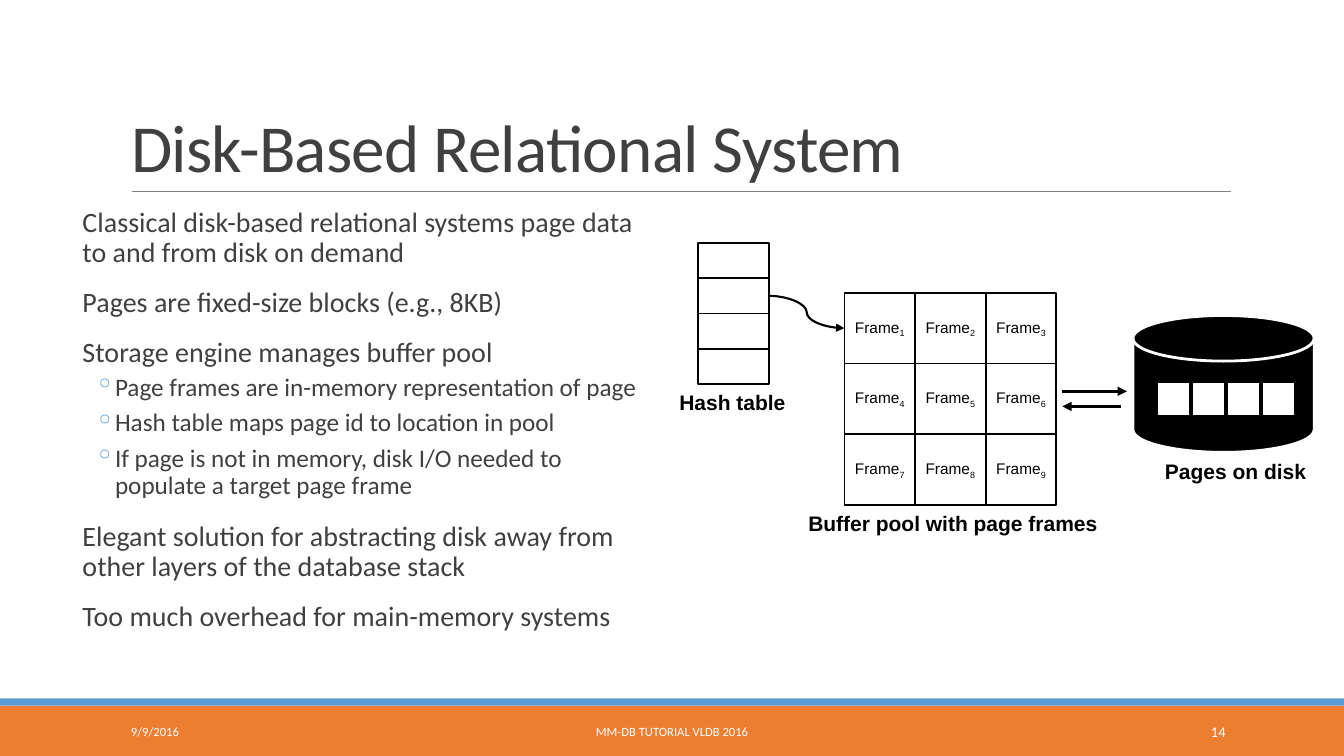
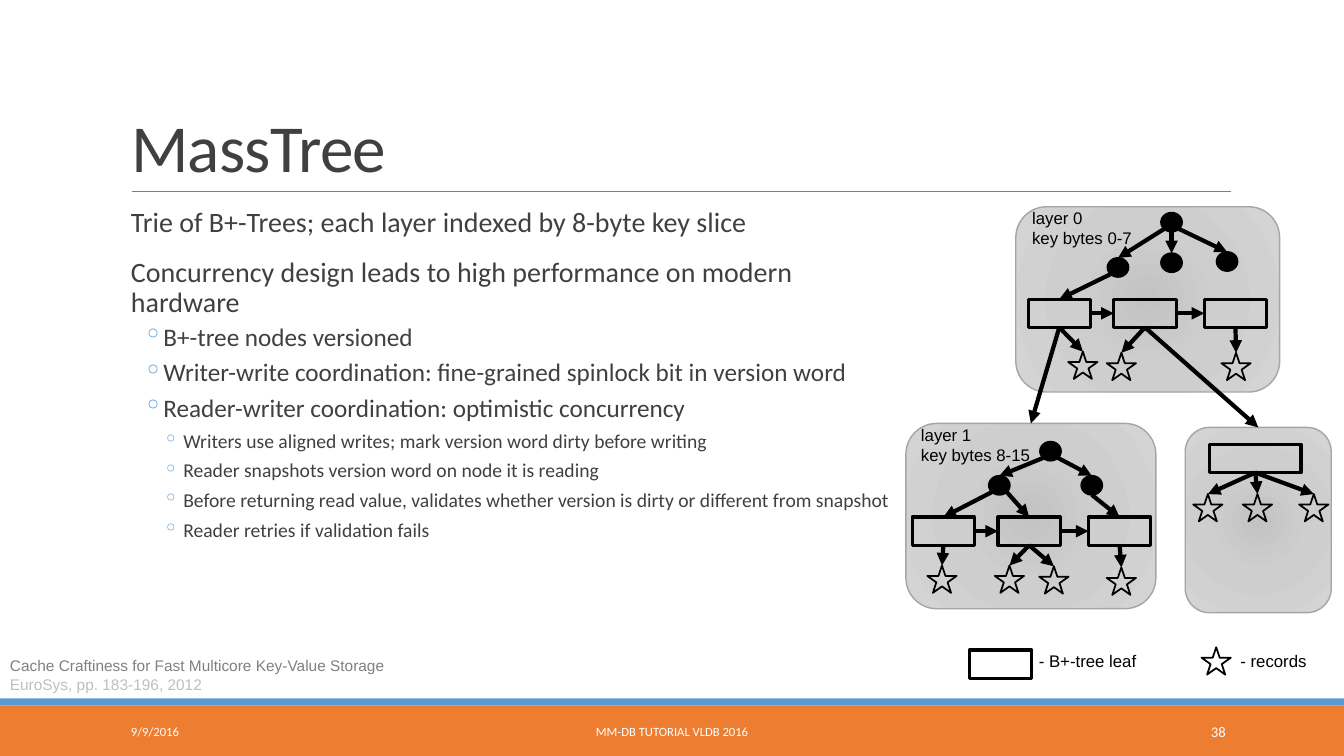
"""Build two slides on disk-based and main-memory storage engines."""
from math import cos, radians, sin

from lxml import etree
from pptx import Presentation
from pptx import util as u
from pptx.dml.color import RGBColor
from pptx.enum import shapes, text
from pptx.oxml import parse_xml
from pptx.oxml.ns import nsdecls, qn

BLACK, WHITE, INK, GREY = "000000", "FFFFFF", "404040", "808080"
ORANGE, BLUE, PANEL_EDGE, PALE = "ED7D31", "5B9BD5", "A5A5A5", "BFBFBF"
SHAPE, LINK = shapes.MSO_SHAPE, shapes.MSO_CONNECTOR
ALIGN, ANCHOR = text.PP_ALIGN, text.MSO_ANCHOR
SLIDE_SIZE = (33.87, 19.05)
LEAF_SIZE, STAR_SIZE, NODE_SIZE = (1.57, 0.71), (0.74, 0.69), (0.53, 0.48)
LABEL = {"size": u.Pt(15), "name": "Arial", "bold": True, "color": BLACK}
NOTE = {"size": u.Pt(12), "name": "Arial", "color": BLACK}
BODY_LEVELS = [
    {"size": 20, "margin": 0.25, "hang": 0, "before": 12, "after": 2},
    {"size": 18, "margin": 1.07, "hang": 0.51, "before": 2, "after": 4},
    {"size": 14, "margin": 1.57, "hang": 0.51, "before": 2, "after": 4},
]


def rgb(value):
    """Turn a hex string into a colour."""
    return RGBColor.from_string(value)


def assign(target, values):
    """Set every attribute named in values on the target."""
    for name, value in values.items():
        setattr(target, name, value)


def set_font(font, values):
    """Apply font attributes, with the colour as a hex string."""
    assign(font, {name: value for name, value in values.items() if name != "color"})
    font.color.rgb = rgb(values["color"])


def add_block(slide, kind, box, fill=None, line=None, width=1.25):
    """Add a preset shape with plain fill and line."""
    block = slide.shapes.add_shape(kind, *map(u.Cm, box))
    block.shadow.inherit = False
    if fill:
        block.fill.solid()
        block.fill.fore_color.rgb = rgb(fill)
    else:
        block.fill.background()
    if line:
        block.line.color.rgb = rgb(line)
        block.line.width = u.Pt(width)
    else:
        block.line.fill.background()
    return block


def add_text(slide, box, lines, font, align=ALIGN.LEFT, anchor=ANCHOR.TOP):
    """Add a wrapped text box with one paragraph per line."""
    frame = slide.shapes.add_textbox(*map(u.Cm, box)).text_frame
    assign(frame, {"word_wrap": True, "vertical_anchor": anchor, "text": "\n".join(lines)})
    for paragraph in frame.paragraphs:
        paragraph.alignment = align
        set_font(paragraph.font, font)
    return frame


def add_line(slide, start, end, color=BLACK, width=3, kind=LINK.STRAIGHT, arrow=True):
    """Draw a connector between points or (shape, side) joints."""
    joined = [hasattr(place[0], "left") for place in (start, end)]
    points = [(0, 0) if joint else place for joint, place in zip(joined, (start, end))]
    line = slide.shapes.add_connector(kind, *points[0], *points[1])
    for joint, place, connect in zip(joined, (start, end), (line.begin_connect, line.end_connect)):
        if joint:
            connect(*place)
    line.line.color.rgb = rgb(color)
    line.line.width = u.Pt(width)
    properties = line._element.spPr
    if arrow:
        etree.SubElement(properties.find(qn("a:ln")), qn("a:tailEnd"), type="triangle")
    etree.SubElement(properties, qn("a:effectLst"))


def point(x, y):
    """Give a point in centimetres."""
    return u.Cm(x), u.Cm(y)


def rim(node, angle):
    """Find the point on a node's edge, clockwise from its right."""
    turn = radians(angle)
    return (int(node.left + node.width / 2 * (1 + cos(turn))),
            int(node.top + node.height / 2 * (1 + sin(turn))))


def add_base(deck, title, number):
    """Start a slide with its title, rule, bands and footers."""
    slide = deck.slides.add_slide(deck.slide_layouts[5])
    add_block(slide, SHAPE.RECTANGLE, (0, 17.78, SLIDE_SIZE[0], 1.27), ORANGE)
    add_block(slide, SHAPE.RECTANGLE, (0, 17.6, SLIDE_SIZE[0], 0.18), BLUE)
    add_line(slide, point(3.33, 4.83), point(31.01, 4.83), GREY, 0.5, arrow=False)
    heading = slide.shapes.title
    assign(heading, dict(zip(("left", "top", "width", "height"),
                             map(u.Cm, (3.05, 0.79, 27.94, 4.04)))))
    assign(heading.text_frame, {"text": title, "vertical_anchor": ANCHOR.BOTTOM,
                                "auto_size": text.MSO_AUTO_SIZE.NONE, "word_wrap": True})
    paragraph = heading.text_frame.paragraphs[0]
    assign(paragraph, {"alignment": ALIGN.LEFT, "line_spacing": 0.85})
    run = paragraph.runs[0]
    set_font(run.font, {"size": u.Pt(48), "name": "Calibri", "color": INK})
    run._r.get_or_add_rPr().set("spc", "-50")
    footers = [(3.05, 6.86, "9/9/2016", 9, ALIGN.LEFT),
               (10.24, 13.39, "MM-DB TUTORIAL VLDB 2016", 9, ALIGN.CENTER),
               (27.51, 3.63, number, 10.5, ALIGN.RIGHT)]
    for left, width, words, size, align in footers:
        add_text(slide, (left, 17.93, width, 1.02), [words],
                 {"size": u.Pt(size), "name": "Calibri", "color": WHITE}, align, ANCHOR.MIDDLE)
    return slide


def add_body(slide, box, items):
    """Add the outline text from (level, words) pairs."""
    frame = slide.shapes.add_textbox(*map(u.Cm, box)).text_frame
    assign(frame, {"word_wrap": True, "margin_left": 0, "margin_right": 0})
    frame.text = "\n".join(words for _, words in items)
    for index, (paragraph, (level, _)) in enumerate(zip(frame.paragraphs, items)):
        look = BODY_LEVELS[level]
        properties = paragraph._p.get_or_add_pPr()
        properties.set("marL", str(u.Cm(look["margin"])))
        properties.set("indent", str(-u.Cm(look["hang"])))
        if level:
            bullet_color = etree.SubElement(properties, qn("a:buClr"))
            etree.SubElement(bullet_color, qn("a:srgbClr"), val=BLUE)
            etree.SubElement(properties, qn("a:buChar"), char="◦")
        assign(paragraph, {"level": level, "line_spacing": 0.9,
                           "space_before": u.Pt(look["before"] if index else 0),
                           "space_after": u.Pt(look["after"])})
        set_font(paragraph.font, {"size": u.Pt(look["size"]), "name": "Calibri", "color": INK})


def add_frame(slide, box, number):
    """Add a page frame with its subscript number."""
    frame = add_block(slide, SHAPE.RECTANGLE, box, WHITE, BLACK)
    assign(frame.text_frame, {"margin_left": 0, "margin_right": 0,
                              "vertical_anchor": ANCHOR.MIDDLE})
    paragraph = frame.text_frame.paragraphs[0]
    paragraph.alignment = ALIGN.CENTER
    for words in ("Frame", str(number)):
        run = paragraph.add_run()
        run.text = words
        set_font(run.font, {"size": u.Pt(11), "name": "Arial", "color": BLACK})
    run._r.get_or_add_rPr().set("baseline", "-25000")
    return frame


def add_buffer_pool(slide):
    """Draw the hash table, the page frames and the disk."""
    side = 1.78
    slots = [add_block(slide, SHAPE.RECTANGLE, (17.6, 6.12 + row * side / 2, side, side / 2),
                       WHITE, BLACK) for row in range(4)]
    frames = [add_frame(slide, (21.28 + index % 3 * side, 7.38 + index // 3 * side, side, side),
                        index + 1) for index in range(9)]
    add_line(slide, (slots[1], 3), (frames[0], 1), width=1.5, kind=LINK.CURVE)
    add_block(slide, SHAPE.FLOWCHART_MAGNETIC_DISK, (28.55, 7.95, 4.57, 3.45), BLACK, WHITE, 2)
    for column in range(4):
        add_block(slide, SHAPE.RECTANGLE, (29.16 + column * 0.88, 9.63, 0.84, 0.86), WHITE, BLACK)
    add_line(slide, point(26.77, 9.86), point(28.4, 9.86), width=2.25)
    add_line(slide, point(28.24, 10.24), point(26.77, 10.24), width=2.25)
    for left, top, width, words in [(29.11, 11.43, 4.42, "Pages on disk"),
                                    (20.12, 12.73, 7.92, "Buffer pool with page frames"),
                                    (16.87, 9.68, 3.28, "Hash table")]:
        add_text(slide, (left, top, width, 0.89), [words], LABEL)


def add_panel(slide, box):
    """Add a rounded layer background with a radial gradient."""
    panel = add_block(slide, SHAPE.ROUNDED_RECTANGLE, box, None, PANEL_EDGE, 1)
    stops = "".join(f'<a:gs pos="{place}"><a:srgbClr val="{color}"/></a:gs>' for place, color in
                    [(0, "C3C3C3"), (45000, "CECECE"), (100000, "D4D4D4")])
    edges = " ".join(f'{edge}="100000"' for edge in "ltrb")
    gradient = parse_xml(f'<a:gradFill {nsdecls("a")}><a:gsLst>{stops}</a:gsLst>'
                         f'<a:path path="circle"><a:fillToRect {edges}/></a:path></a:gradFill>')
    properties = panel._element.spPr
    properties.replace(properties.find(qn("a:noFill")), gradient)
    return panel


def add_leaf(slide, left, top, width=LEAF_SIZE[0]):
    """Add a B+-tree leaf."""
    return add_block(slide, SHAPE.RECTANGLE, (left, top, width, LEAF_SIZE[1]), None, BLACK, 2.25)


def add_star(slide, left, top):
    """Add a record star."""
    return add_block(slide, SHAPE.STAR_5_POINT, (left, top, *STAR_SIZE), None, BLACK)


def add_records(slide, leaf, places):
    """Hang record stars below a leaf."""
    for place in places:
        add_line(slide, (leaf, 2), (add_star(slide, *place), 0))


def add_tree(slide, node_places, branches, twigs, leaf_left, leaf_top, records):
    """Draw a B+-tree of inner nodes, chained leaves and records."""
    nodes = [add_block(slide, SHAPE.OVAL, (*place, *NODE_SIZE), BLACK, BLACK)
             for place in node_places]
    leaves = [add_leaf(slide, leaf_left + shift, leaf_top) for shift in (0, 2.16, 4.44)]
    for children, links in ((nodes, branches), (leaves, twigs)):
        for parent, angle, child in links:
            add_line(slide, rim(nodes[parent], angle), (children[child], 0))
    for leaf, following in zip(leaves, leaves[1:]):
        add_line(slide, (leaf, 3), (following, 1))
    for leaf, places in zip(leaves, records):
        add_records(slide, leaf, places)
    return leaves


def add_trie(slide):
    """Draw the trie layers with their links and legend."""
    add_panel(slide, (25.6, 5.21, 6.65, 4.67))
    left_panel = add_panel(slide, (22.83, 10.67, 6.3, 4.67))
    right_panel = add_panel(slide, (29.87, 10.77, 3.68, 4.67))
    upper_leaves = add_tree(
        slide, [(29.26, 5.36), (27.91, 6.5), (29.26, 6.38), (30.66, 6.35)],
        [(0, 135, 1), (0, 90, 2), (0, 45, 3)], [(1, 135, 0)], 25.91, 7.54,
        [[(26.92, 8.86)], [(27.89, 8.89)], [(30.78, 8.89)]])
    add_tree(
        slide, [(26.21, 11.13), (24.92, 11.99), (27.25, 11.99)],
        [(0, 135, 1), (0, 45, 2)], [(1, 135, 0), (1, 45, 1), (2, 90, 2)], 22.99, 13.03,
        [[(23.37, 14.25)], [(25.07, 14.25), (26.19, 14.27)], [(27.89, 14.3)]])
    add_records(slide, add_leaf(slide, 30.48, 11.2, 2.31),
                [(left, 12.45) for left in (30.07, 31.32, 32.74)])
    for leaf, panel in zip(upper_leaves, (left_panel, right_panel)):
        add_line(slide, (leaf, 2), (panel, 0))
    add_leaf(slide, 24.43, 16.38)
    add_star(slide, 30.28, 16.31)
    for box, lines in [((25.76, 5.11, 3.2, 1.27), ["layer 0", "key bytes 0-7"]),
                       ((22.96, 10.57, 3.51, 1.27), ["layer 1", "key bytes 8-15"]),
                       ((31.01, 16.28, 2.34, 0.76), ["- records"]),
                       ((25.93, 16.28, 3.86, 0.76), ["- B+-tree leaf"])]:
        add_text(slide, box, lines, NOTE)


def main():
    """Build and save the deck."""
    deck = Presentation()
    deck.slide_width, deck.slide_height = map(u.Cm, SLIDE_SIZE)

    disk_slide = add_base(deck, "Disk-Based Relational System", "14")
    add_body(disk_slide, (1.83, 5.13, 14.35, 12.14), [
        (0, "Classical disk-based relational systems page data to and from disk on demand"),
        (0, "Pages are fixed-size blocks (e.g., 8KB)"),
        (0, "Storage engine manages buffer pool"),
        (1, "Page frames are in-memory representation of page"),
        (1, "Hash table maps page id to location in pool"),
        (1, "If page is not in memory, disk I/O needed to populate a target page frame"),
        (0, "Elegant solution for abstracting disk away from other layers of the database stack"),
        (0, "Too much overhead for main-memory systems"),
    ])
    add_buffer_pool(disk_slide)

    tree_slide = add_base(deck, "MassTree", "38")
    add_body(tree_slide, (3.05, 5.13, 19.51, 11.89), [
        (0, "Trie of B+-Trees; each layer indexed by 8-byte key slice"),
        (0, "Concurrency design leads to high performance on modern hardware"),
        (1, "B+-tree nodes versioned"),
        (1, "Writer-write coordination: fine-grained spinlock bit in version word"),
        (1, "Reader-writer coordination: optimistic concurrency"),
        (2, "Writers use aligned writes; mark version word dirty before writing"),
        (2, "Reader snapshots version word on node it is reading"),
        (2, "Before returning read value, validates whether version is dirty or different "
            "from snapshot"),
        (2, "Reader retries if validation fails"),
    ])
    add_trie(tree_slide)
    citation = add_text(tree_slide, (0, 16.41, 21.67, 1.19), [
        "Cache Craftiness for Fast Multicore Key-Value Storage", "EuroSys, pp. 183-196, 2012",
    ], {"size": u.Pt(11), "name": "Arial", "color": GREY})
    citation.paragraphs[1].font.color.rgb = rgb(PALE)
    deck.save("out.pptx")


if __name__ == "__main__":
    main()
